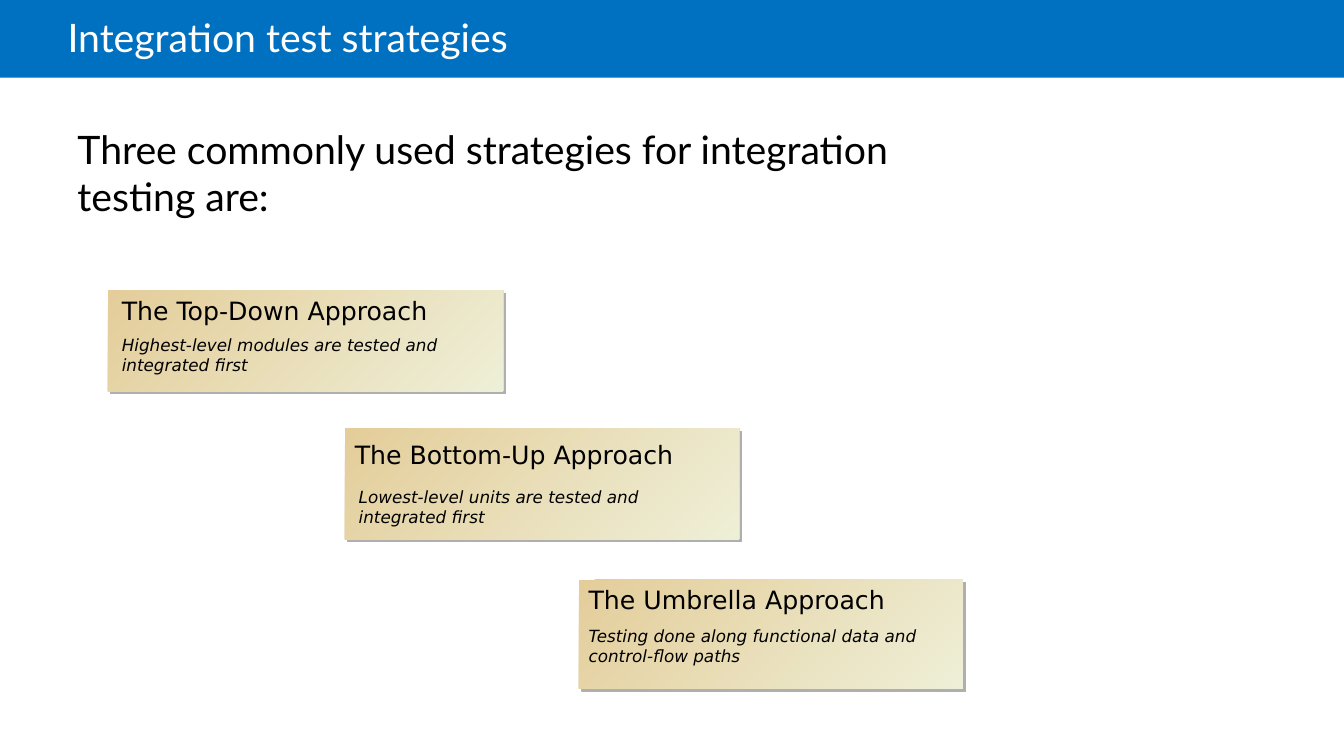
import pptx
import pptx.util
import pptx.dml.color
import pptx.enum.shapes
import pptx.enum.text
import pptx.oxml
import pptx.oxml.ns

Inches = pptx.util.Inches
RECT = pptx.enum.shapes.MSO_SHAPE.RECTANGLE


def color(code):
    return pptx.dml.color.RGBColor.from_string(code)


def write(frame, text, size, font, code="000000", slant=False):
    """Add one run to the first paragraph of the frame and return the paragraph."""
    para = frame.paragraphs[0]
    run = para.add_run()
    run.text = text
    run.font.size = pptx.util.Pt(size)
    run.font.name = font
    run.font.italic = slant
    run.font.color.rgb = color(code)
    para.alignment = pptx.enum.text.PP_ALIGN.LEFT
    return para


deck = pptx.Presentation()
deck.slide_width = Inches(13.33)
deck.slide_height = Inches(7.5)
slide = deck.slides.add_slide(deck.slide_layouts[5])
shapes = slide.shapes

# Blue band, placed behind the title
band = shapes.add_shape(RECT, 0, 0, Inches(13.33), Inches(0.77))
band.shadow.inherit = False
band.fill.solid()
band.fill.fore_color.rgb = color("0070C0")
band.line.fill.background()
title = shapes.title
title._element.addprevious(band._element)

title.left, title.top = Inches(0.67), Inches(0)
title.width, title.height = Inches(11.34), Inches(0.81)
frame = title.text_frame
frame.auto_size = pptx.enum.text.MSO_AUTO_SIZE.NONE
frame.vertical_anchor = pptx.enum.text.MSO_ANCHOR.MIDDLE
frame.margin_left = 0
para = write(frame, "Integration test strategies", 28, "Lato", "FFFFFF")
para.line_spacing = 0.85

intro = shapes.add_textbox(Inches(0.67), Inches(1.19), Inches(8.88), Inches(1.18))
intro.text_frame.word_wrap = True
write(intro.text_frame, "Three commonly used strategies for integration testing are:", 28, "Lato")

# Each card: its box, then heading and note with left, top, width, height
cards = [
    ((5.74, 5.75, 3.81, 1.08),
     "The Umbrella Approach", (5.74, 5.75, 3.17, 0.4),
     "Testing done along functional data and control-flow paths", (5.74, 6.16, 3.67, 0.5)),
    ((3.42, 4.25, 3.91, 1.1),
     "The Bottom-Up Approach", (3.42, 4.31, 3.42, 0.4),
     "Lowest-level units are tested and integrated first", (3.46, 4.78, 3.7, 0.5)),
    ((1.07, 2.88, 3.92, 1),
     "The Top-Down Approach", (1.11, 2.88, 3.3, 0.4),
     "Highest-level modules are tested and integrated first", (1.11, 3.27, 3.74, 0.5)),
]
shade = (
    f'<a:outerShdw {pptx.oxml.ns.nsdecls("a")} dist="35560" dir="2700000" algn="ctr" rotWithShape="0">'
    '<a:srgbClr val="AFAFAF"/></a:outerShdw>'
)

for place, head, headat, note, noteat in cards:
    group = shapes.add_group_shape()
    card = group.shapes.add_shape(RECT, *map(Inches, place))
    card.line.fill.background()
    card.fill.gradient()
    card.fill.gradient_angle = 315
    for stop, code in zip(card.fill.gradient_stops, ("E4CD9A", "EEEFD7")):
        stop.color.rgb = color(code)
    card.shadow.inherit = False
    effect = card._element.spPr.find(pptx.oxml.ns.qn("a:effectLst"))
    effect.append(pptx.oxml.parse_xml(shade))

    for text, at, size, slant in ((head, headat, 18, False), (note, noteat, 12, True)):
        frame = group.shapes.add_textbox(*map(Inches, at)).text_frame
        frame.word_wrap = slant
        frame.auto_size = pptx.enum.text.MSO_AUTO_SIZE.SHAPE_TO_FIT_TEXT
        write(frame, text, size, "DejaVu Sans", slant=slant)

deck.save("out.pptx")
